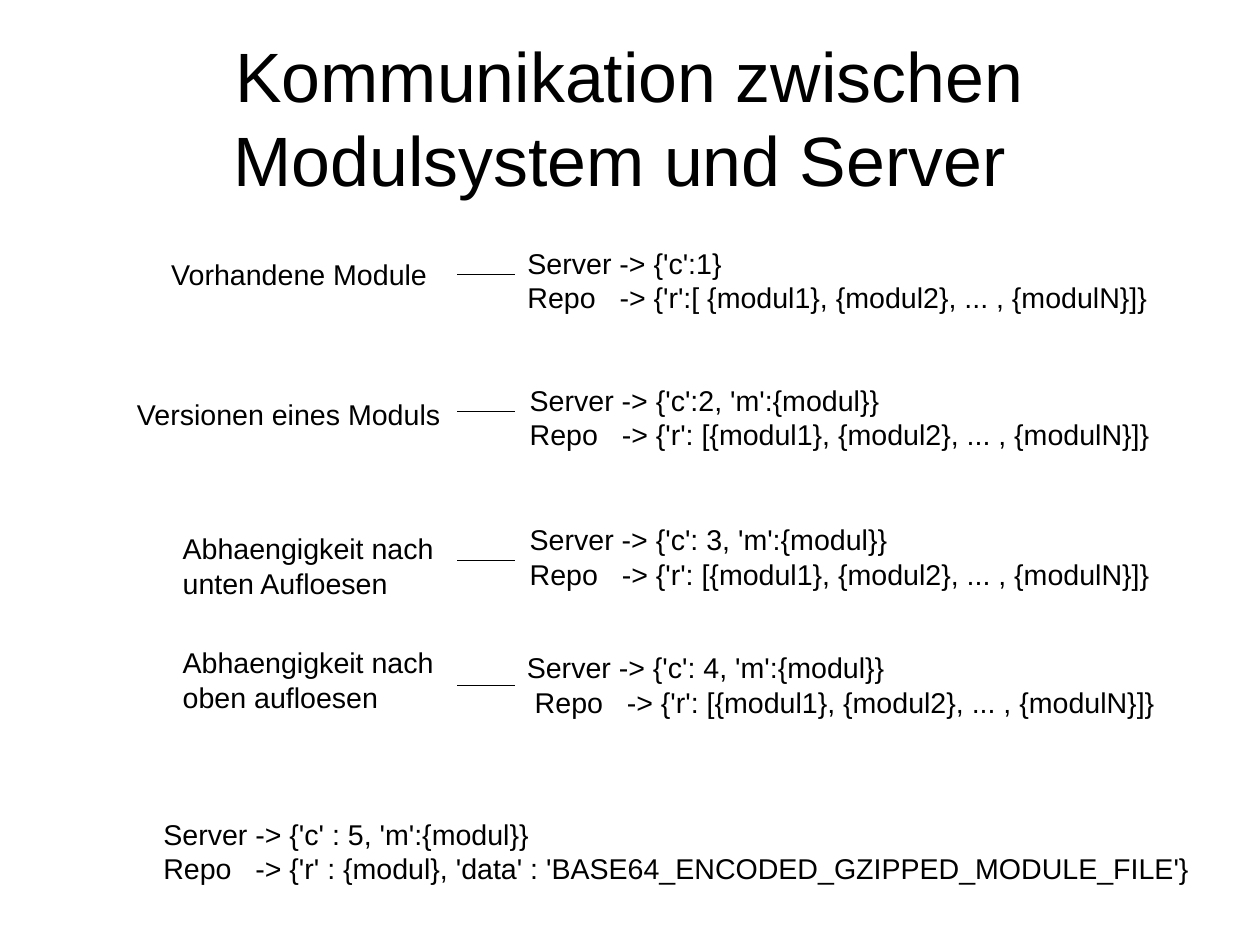
from lxml import etree
from pptx import Presentation
from pptx.dml.color import RGBColor
from pptx.enum import shapes, text
from pptx.oxml import ns
from pptx.util import Pt

BLACK = RGBColor(0, 0, 0)
FONT = "Arial"
BODY_SIZE = 18
ARROW_TAB = 58  # aligns the arrow after "Repo" with the one after "Server"
SPACE = 5
LINK_LEFT, LINK_RIGHT = 288, 324
LABEL_WIDTH, MESSAGE_WIDTH = 210, 430

# label, label left, label top, link y, message left, message top, request, reply
EXCHANGES = [
    ("Vorhandene Module", 100.8, 158.4, 172.8, 325.2, 151.2,
     "Server -> {'c':1}",
     "Repo\t-> {'r':[ {modul1}, {modul2}, ... , {modulN}]}"),
    ("Versionen eines Moduls", 79.2, 246.2, 259.2, 326.6, 237.6,
     "Server -> {'c':2, 'm':{modul}}",
     "Repo\t-> {'r': [{modul1}, {modul2}, ... , {modulN}]}"),
    ("Abhaengigkeit nach unten Aufloesen", 108, 331.2, 352.8, 326.6, 325.4,
     "Server -> {'c': 3, 'm':{modul}}",
     "Repo\t-> {'r': [{modul1}, {modul2}, ... , {modulN}]}"),
    ("Abhaengigkeit nach oben aufloesen", 108, 403, 431.8, 324.8, 406.1,
     "Server -> {'c': 4, 'm':{modul}}",
     " Repo\t-> {'r': [{modul1}, {modul2}, ... , {modulN}]}"),
]
DOWNLOAD = (
    "Server -> {'c' : 5, 'm':{modul}}",
    "Repo\t-> {'r' : {modul}, 'data' : 'BASE64_ENCODED_GZIPPED_MODULE_FILE'}",
)


def add_text(slide, left, top, width, height, lines, size=BODY_SIZE):
    box = slide.shapes.add_textbox(Pt(left), Pt(top), Pt(width), Pt(height))
    frame = box.text_frame
    frame.word_wrap = True
    for index, line in enumerate(lines):
        paragraph = frame.add_paragraph() if index else frame.paragraphs[0]
        run = paragraph.add_run()
        run.text = line
        run.font.name = FONT
        run.font.size = Pt(size)
        run.font.color.rgb = BLACK
    return frame


def add_title(slide, title):
    frame = add_text(slide, 39.6, 23.8, 714.2, 99.4, [title], 44)
    frame.margin_left = frame.margin_right = 0
    frame.margin_top = frame.margin_bottom = 0
    frame.vertical_anchor = text.MSO_ANCHOR.MIDDLE
    frame.paragraphs[0].alignment = text.PP_ALIGN.CENTER


def add_message(slide, left, top, width, request, reply):
    """Add a request and its reply, with their arrows in line."""
    frame = add_text(slide, left, top, width, 50, [request, reply])
    position = ARROW_TAB + SPACE * reply.startswith(" ")
    properties = frame.paragraphs[1]._p.get_or_add_pPr()
    tabs = etree.SubElement(properties, ns.qn("a:tabLst"))
    etree.SubElement(tabs, ns.qn("a:tab"), pos=str(Pt(position)), algn="l")


def add_link(slide, y):
    """Add a hairline; its zero width has to be written out in the XML."""
    link = slide.shapes.add_connector(
        shapes.MSO_CONNECTOR.STRAIGHT,
        Pt(LINK_LEFT), Pt(y), Pt(LINK_RIGHT), Pt(y))
    link.line.color.rgb = BLACK
    link.get_or_add_ln().set("w", "0")
    etree.SubElement(link._element.spPr, ns.qn("a:effectLst"))


def main():
    deck = Presentation()
    deck.slide_width, deck.slide_height = Pt(793.75), Pt(595.25)
    slide = deck.slides.add_slide(deck.slide_layouts[6])

    add_title(slide, "Kommunikation zwischen Modulsystem und Server ")
    for (label, label_left, label_top, link_y,
         message_left, message_top, request, reply) in EXCHANGES:
        add_text(slide, label_left, label_top, LABEL_WIDTH, 28, [label])
        add_link(slide, link_y)
        add_message(slide, message_left, message_top, MESSAGE_WIDTH,
                    request, reply)
    add_message(slide, 95.8, 511, 680, *DOWNLOAD)

    deck.save("out.pptx")


if __name__ == "__main__":
    main()
